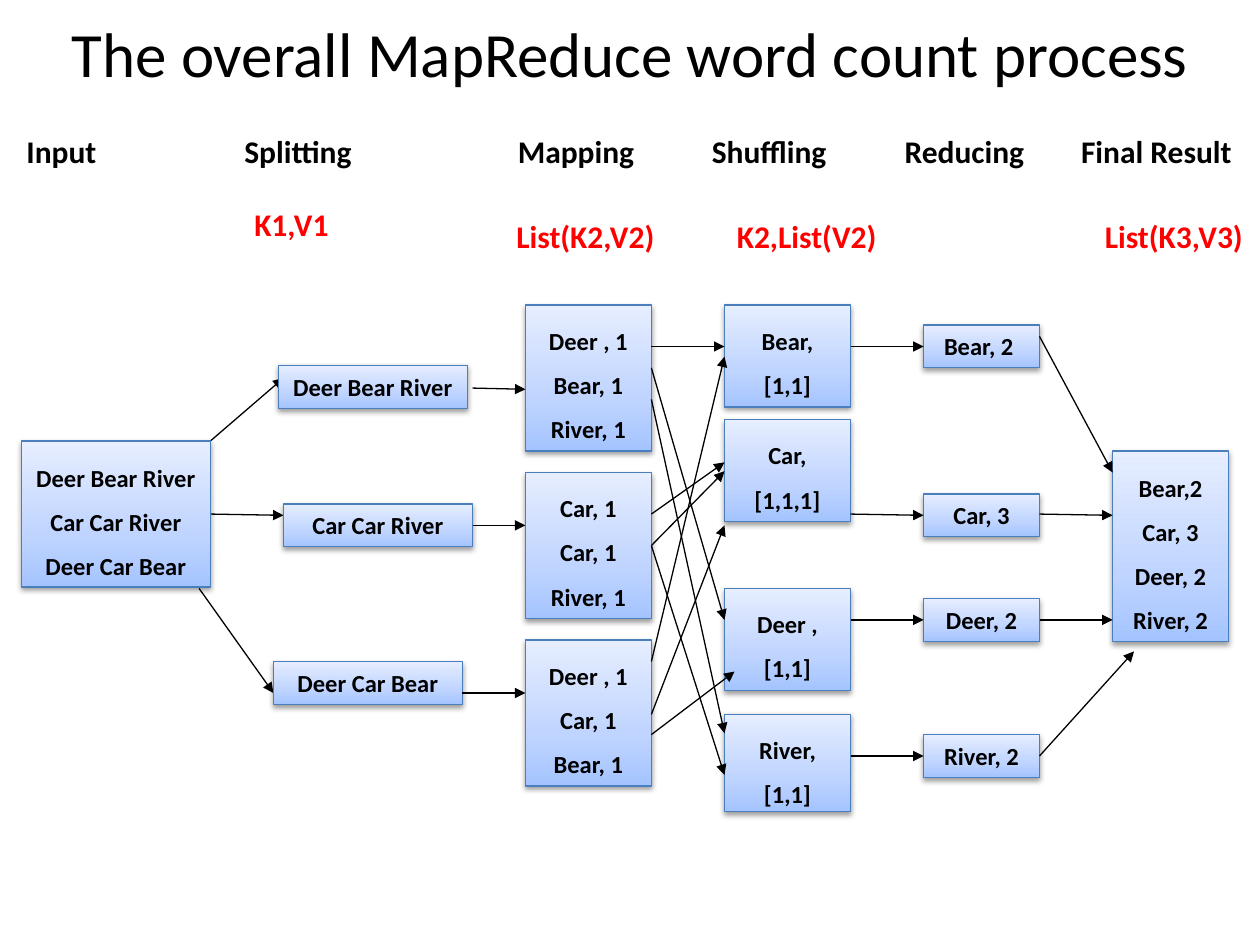
from copy import deepcopy

from lxml.etree import SubElement
from pptx import Presentation
from pptx.dml.color import RGBColor
from pptx.enum.shapes import MSO_CONNECTOR, MSO_SHAPE
from pptx.enum.text import MSO_ANCHOR, MSO_AUTO_SIZE, PP_ALIGN
from pptx.oxml.ns import qn
from pptx.util import Inches, Pt

BLACK = RGBColor(0x00, 0x00, 0x00)
RED = RGBColor(0xFF, 0x00, 0x00)
BORDER = RGBColor(0x4B, 0x7E, 0xBC)
GRADIENT = [
    (0, RGBColor(0xA4, 0xC4, 0xFF)),
    (0.35, RGBColor(0xBF, 0xD4, 0xFF)),
    (1, RGBColor(0xE6, 0xEE, 0xFF)),
]
FONT = "Calibri"

presentation = Presentation()
presentation.slide_width = Inches(10)
presentation.slide_height = Inches(7.5)
slide = presentation.slides.add_slide(presentation.slide_layouts[5])


def format_text(text_frame, size, color=BLACK, bold=True, alignment=PP_ALIGN.CENTER, spacing=None):
    text_frame.word_wrap = True
    for paragraph in text_frame.paragraphs:
        paragraph.alignment = alignment
        paragraph.line_spacing = spacing
        for run in paragraph.runs:
            run.font.name = FONT
            run.font.size = Pt(size)
            run.font.bold = bold
            run.font.color.rgb = color


def add_arrows(arrows):
    for start_x, start_y, end_x, end_y in arrows:
        arrow = slide.shapes.add_connector(
            MSO_CONNECTOR.STRAIGHT,
            Inches(start_x), Inches(start_y), Inches(end_x), Inches(end_y))
        arrow.line.color.rgb = BLACK
        arrow.line.width = Pt(0.75)
        properties = arrow._element.spPr
        SubElement(properties.find(qn("a:ln")), qn("a:tailEnd"), type="triangle")
        SubElement(properties, qn("a:effectLst"))


title = slide.shapes.title
title.left, title.top = Inches(0.25), Inches(0)
title.width, title.height = Inches(9.5), Inches(0.83)
title.text_frame.text = "The overall MapReduce word count process"
title.text_frame.vertical_anchor = MSO_ANCHOR.MIDDLE
format_text(title.text_frame, 36, bold=False)

add_arrows([
    (1.67, 3.5, 2.25, 3),
    (1.67, 4.08, 2.25, 4.09),
    (1.58, 4.67, 2.17, 5.5),
])

TOP, MIDDLE = MSO_ANCHOR.TOP, MSO_ANCHOR.MIDDLE
stages = [
    (1.5, 1.16, 1.5, MIDDLE, [
        (0.17, 3.5, "Deer Bear River \nCar Car River\nDeer Car Bear")]),
    (1.5, 0.34, None, TOP, [
        (2.21, 2.9, "Deer Bear River"),
        (2.25, 4, "Car Car River"),
        (2.17, 5.25, "Deer Car Bear")]),
    (1, 1.16, 1.5, TOP, [
        (4.17, 2.42, "Deer , 1\nBear, 1\nRiver, 1"),
        (4.17, 3.75, "Car, 1\nCar, 1\nRiver, 1"),
        (4.17, 5.08, "Deer , 1\nCar, 1\nBear, 1")]),
    (1, 0.81, 1.5, TOP, [
        (5.75, 2.42, "Bear, [1,1]"),
        (5.75, 3.33, "Car, [1,1,1]"),
        (5.75, 4.67, "Deer , [1,1]")]),
    (1, 0.77, 1.5, TOP, [
        (5.75, 5.67, "River, [1,1]")]),
    (0.92, 0.34, None, TOP, [
        (7.33, 2.58, "Bear, 2 "),
        (7.33, 3.92, "Car, 3"),
        (7.33, 4.75, "Deer, 2"),
        (7.33, 5.83, "River, 2")]),
    (0.92, 1.51, 1.5, MIDDLE, [
        (8.83, 3.58, "Bear,2\nCar, 3\nDeer, 2\nRiver, 2")]),
]
for width, height, spacing, anchor, boxes in stages:
    for left, top, text in boxes:
        box = slide.shapes.add_shape(
            MSO_SHAPE.RECTANGLE,
            Inches(left), Inches(top), Inches(width), Inches(height))
        box.fill.gradient()
        box.fill.gradient_angle = 90
        properties = box._element.spPr
        stop_list = properties.find(".//" + qn("a:gsLst"))
        stop_list.append(deepcopy(stop_list[-1]))
        for stop, (position, color) in zip(box.fill.gradient_stops, GRADIENT):
            stop.position = position
            stop.color.rgb = color
        box.line.color.rgb = BORDER
        box.line.width = Pt(0.75)
        box.shadow.inherit = False
        shadow = SubElement(
            properties.find(qn("a:effectLst")), qn("a:outerShdw"),
            blurRad="40000", dist="20000", dir="5400000", rotWithShape="0")
        shadow_color = SubElement(shadow, qn("a:srgbClr"), val="000000")
        SubElement(shadow_color, qn("a:alpha"), val="38000")
        box.text_frame.text = text
        box.text_frame.vertical_anchor = anchor
        box.text_frame.auto_size = MSO_AUTO_SIZE.SHAPE_TO_FIT_TEXT
        format_text(box.text_frame, 14, spacing=spacing)

add_arrows([
    (3.75, 3.08, 4.17, 3.09),
    (3.75, 4.17, 4.17, 4.17),
    (3.67, 5.5, 4.17, 5.5),
    (5.17, 2.75, 5.75, 2.75),
    (5.17, 2.92, 5.75, 4.92),
    (5.17, 3.17, 5.75, 5.82),
    (5.17, 4.08, 5.75, 3.67),
    (5.17, 4.33, 5.75, 3.74),
    (5.17, 4.33, 5.75, 6.15),
    (5.17, 5.25, 5.75, 2.83),
    (5.17, 5.67, 5.75, 4.17),
    (5.17, 5.83, 5.83, 5.33),
    (6.75, 2.75, 7.33, 2.75),
    (6.75, 4.08, 7.33, 4.09),
    (6.75, 4.92, 7.33, 4.92),
    (6.75, 6, 7.33, 6),
    (8.25, 2.67, 8.83, 3.75),
    (8.25, 4.08, 8.83, 4.09),
    (8.25, 4.92, 8.83, 4.92),
    (8.25, 6, 9, 5.17),
])

headings = slide.shapes.add_textbox(Inches(0), Inches(1), Inches(10), Inches(0.71))
headings.text_frame.margin_left = Inches(0.21)
headings.text_frame.text = "Input\tSplitting\tMapping\tShuffling\tReducing\tFinal Result"
format_text(headings.text_frame, 18, alignment=PP_ALIGN.LEFT)
paragraph_properties = headings.text_frame.paragraphs[0]._p.get_or_add_pPr()
tab_list = SubElement(paragraph_properties, qn("a:tabLst"))
for position in (1.73, 3.9, 5.44, 6.97, 8.37):
    SubElement(tab_list, qn("a:tab"), pos=str(Inches(position)), algn="l")

for left, top, width, text in [
    (1.92, 1.58, 0.83, "K1,V1"),
    (4, 1.67, 1.33, "List(K2,V2)"),
    (5.75, 1.67, 1.33, "K2,List(V2)"),
    (8.67, 1.67, 1.33, "List(K3,V3)"),
]:
    label = slide.shapes.add_textbox(Inches(left), Inches(top), Inches(width), Inches(0.4))
    label.text_frame.text = text
    label.text_frame.auto_size = MSO_AUTO_SIZE.SHAPE_TO_FIT_TEXT
    format_text(label.text_frame, 18, RED, alignment=PP_ALIGN.LEFT)

presentation.save("out.pptx")
